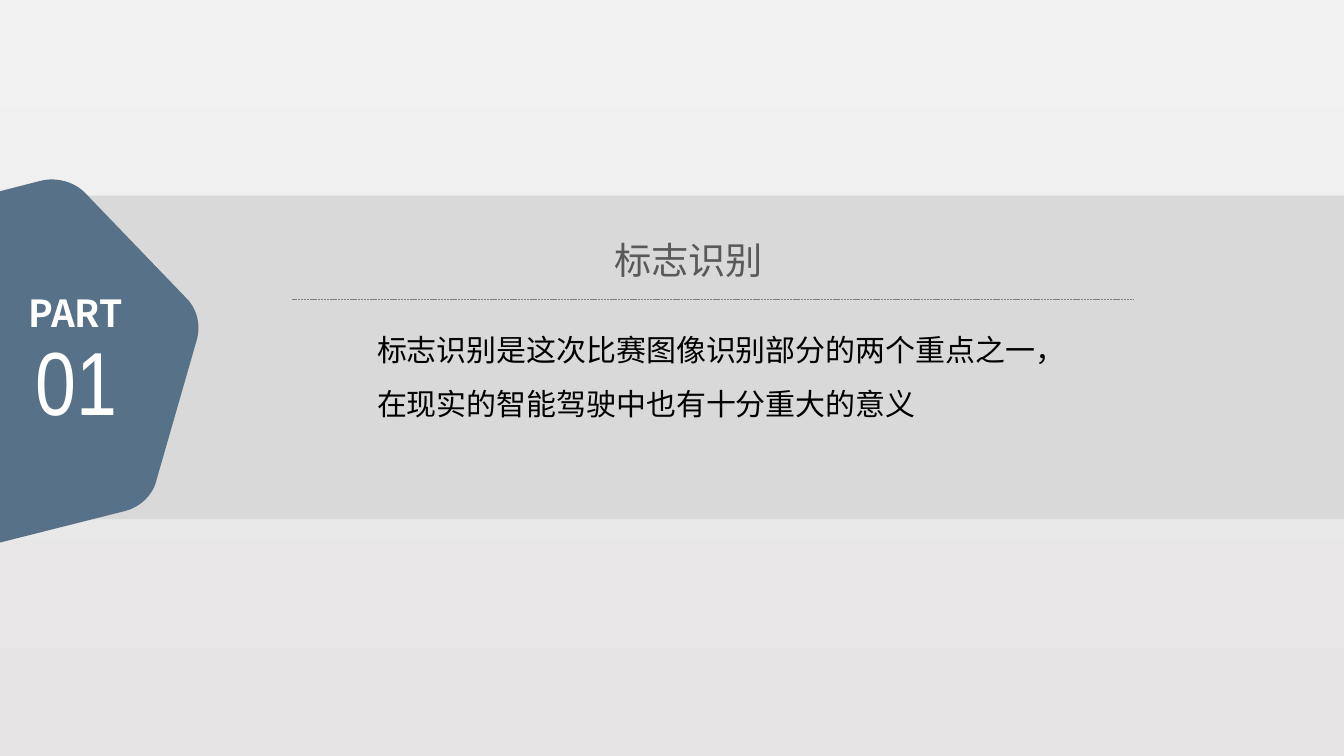
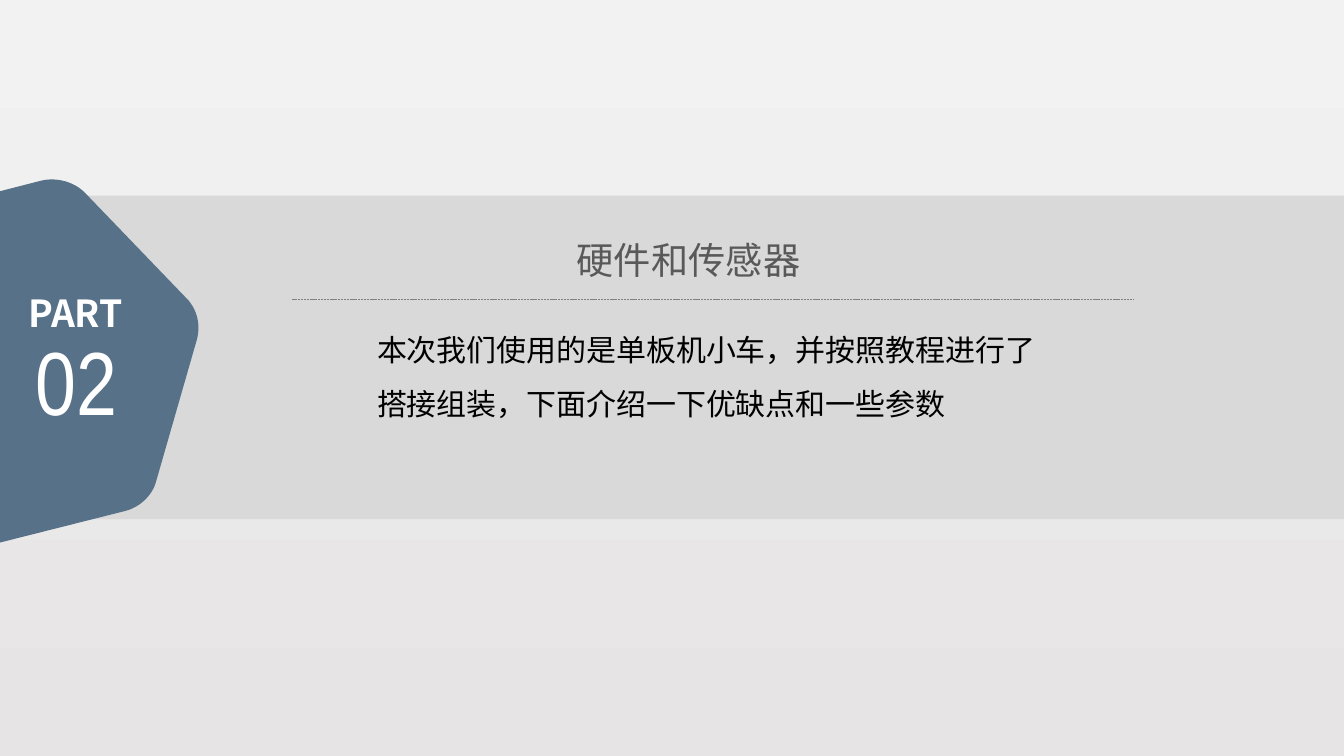
"""Build the two section divider slides of a deck."""

import dataclasses

import lxml.etree
import pptx
import pptx.dml.color
import pptx.enum.dml
import pptx.enum.shapes
import pptx.enum.text
import pptx.oxml.ns
import pptx.presentation
import pptx.shapes.base
import pptx.slide
import pptx.util

Point = tuple[float, float]
Curve = tuple[Point, Point, Point, Point]

EMU_PER_PX = 9144
SLIDE_WIDTH, SLIDE_HEIGHT = 1333, 750
CURVE_STEPS = 12

BACKGROUND_TOP = pptx.dml.color.RGBColor(0xF2, 0xF2, 0xF2)
BACKGROUND_BOTTOM = pptx.dml.color.RGBColor(0xE6, 0xE4, 0xE4)
BAND_GRAY = pptx.dml.color.RGBColor(0xD9, 0xD9, 0xD9)
BADGE_BLUE = pptx.dml.color.RGBColor(0x57, 0x71, 0x88)
RULE_GRAY = pptx.dml.color.RGBColor(0x80, 0x80, 0x80)
TITLE_GRAY = pptx.dml.color.RGBColor(0x59, 0x59, 0x59)
WHITE = pptx.dml.color.RGBColor(0xFF, 0xFF, 0xFF)
BLACK = pptx.dml.color.RGBColor(0x00, 0x00, 0x00)

TEXT_FONT = "Noto Sans CJK SC"
NUMBER_FONT = "Arial Narrow"

BADGE_LEFT_EDGE: tuple[Point, Point] = ((-3, 539), (-1, 190))
BADGE_CORNERS: tuple[Curve, ...] = (
    ((42, 179), (56, 176), (73, 180), (84, 191)),
    ((185, 296), (194, 305), (200, 320), (195, 338)),
    ((155, 477), (152, 490), (140, 503), (124, 507)),
)


@dataclasses.dataclass(frozen=True)
class Section:
    number: str
    title: str
    summary: str


@dataclasses.dataclass(frozen=True)
class TextStyle:
    left: int
    top: int
    width: int
    height: int
    size: float
    color: pptx.dml.color.RGBColor
    font: str = TEXT_FONT
    bold: bool = False
    centered: bool = True
    line_spacing: float = 1.0


NUMBER = TextStyle(-30, 316, 212, 121, 64, WHITE, font=NUMBER_FONT)
TITLE = TextStyle(461, 228, 444, 58, 26.6, TITLE_GRAY)
SUMMARY = TextStyle(361, 304, 692, 121, 21.4, BLACK, centered=False, line_spacing=1.5)
PART_LABEL = TextStyle(-21, 281, 192, 58, 26.6, WHITE, bold=True)

SECTIONS = (
    Section(
        "01",
        "标志识别",
        "标志识别是这次比赛图像识别部分的两个重点之一，在现实的智能驾驶中也有十分重大的意义",
    ),
    Section(
        "02",
        "硬件和传感器",
        "本次我们使用的是单板机小车，并按照教程进行了搭接组装，下面介绍一下优缺点和一些参数",
    ),
)


def px(length: float) -> pptx.util.Emu:
    return pptx.util.Emu(round(length * EMU_PER_PX))


def curve_points(curve: Curve) -> list[Point]:
    points = []
    for step in range(CURVE_STEPS + 1):
        t = step / CURVE_STEPS
        weights = ((1 - t) ** 3, 3 * t * (1 - t) ** 2, 3 * t**2 * (1 - t), t**3)
        x, y = (
            sum(weight * point[axis] for weight, point in zip(weights, curve))
            for axis in (0, 1)
        )
        points.append((x, y))
    return points


def paint(shape: pptx.shapes.base.BaseShape, color: pptx.dml.color.RGBColor) -> None:
    shape.shadow.inherit = False
    shape.fill.solid()
    shape.fill.fore_color.rgb = color
    shape.line.fill.background()


def set_background(presentation: pptx.presentation.Presentation) -> None:
    fill = presentation.slide_master.background.fill
    fill.gradient()
    fill.gradient_angle = 270
    for stop, color in zip(fill.gradient_stops, (BACKGROUND_TOP, BACKGROUND_BOTTOM)):
        stop.color.rgb = color


def add_band(slide: pptx.slide.Slide) -> None:
    band = slide.shapes.add_shape(
        pptx.enum.shapes.MSO_SHAPE.RECTANGLE, px(42), px(194), px(SLIDE_WIDTH - 42), px(321)
    )
    paint(band, BAND_GRAY)


def add_badge(slide: pptx.slide.Slide) -> None:
    outline = list(BADGE_LEFT_EDGE)
    for corner in BADGE_CORNERS:
        outline.extend(curve_points(corner))
    start, *rest = [(px(x), px(y)) for x, y in outline]
    builder = slide.shapes.build_freeform(*start)
    builder.add_line_segments(rest, close=True)
    paint(builder.convert_to_shape(), BADGE_BLUE)


def add_text(slide: pptx.slide.Slide, text: str, style: TextStyle) -> None:
    box = slide.shapes.add_textbox(
        px(style.left), px(style.top), px(style.width), px(style.height)
    )
    frame = box.text_frame
    frame.word_wrap = True
    frame.auto_size = pptx.enum.text.MSO_AUTO_SIZE.SHAPE_TO_FIT_TEXT
    frame.margin_left = frame.margin_right = px(13)
    frame.margin_top = frame.margin_bottom = px(7)
    paragraph = frame.paragraphs[0]
    alignment = pptx.enum.text.PP_ALIGN
    paragraph.alignment = alignment.CENTER if style.centered else alignment.LEFT
    paragraph.line_spacing = style.line_spacing
    run = paragraph.add_run()
    run.text = text
    run.font.size = pptx.util.Pt(style.size)
    run.font.bold = style.bold
    run.font.color.rgb = style.color
    run.font.name = style.font
    east_asian = lxml.etree.SubElement(
        run._r.get_or_add_rPr(), pptx.oxml.ns.qn("a:ea")
    )
    east_asian.set("typeface", style.font)


def add_rule(slide: pptx.slide.Slide) -> None:
    rule = slide.shapes.add_connector(
        pptx.enum.shapes.MSO_CONNECTOR.STRAIGHT, px(290), px(297), px(1125), px(297)
    )
    rule.line.color.rgb = RULE_GRAY
    rule.line.width = pptx.util.Pt(0.5)
    rule.line.dash_style = pptx.enum.dml.MSO_LINE.SQUARE_DOT
    lxml.etree.SubElement(rule._element.spPr, pptx.oxml.ns.qn("a:effectLst"))


def add_section(
    presentation: pptx.presentation.Presentation, section: Section
) -> None:
    slide = presentation.slides.add_slide(presentation.slide_layouts[6])
    add_band(slide)
    add_badge(slide)
    add_text(slide, section.number, NUMBER)
    add_text(slide, section.title, TITLE)
    add_text(slide, section.summary, SUMMARY)
    add_text(slide, "PART", PART_LABEL)
    add_rule(slide)


def main() -> None:
    presentation = pptx.Presentation()
    presentation.slide_width = px(SLIDE_WIDTH)
    presentation.slide_height = px(SLIDE_HEIGHT)
    set_background(presentation)
    for section in SECTIONS:
        add_section(presentation, section)
    presentation.save("out.pptx")


if __name__ == "__main__":
    main()
